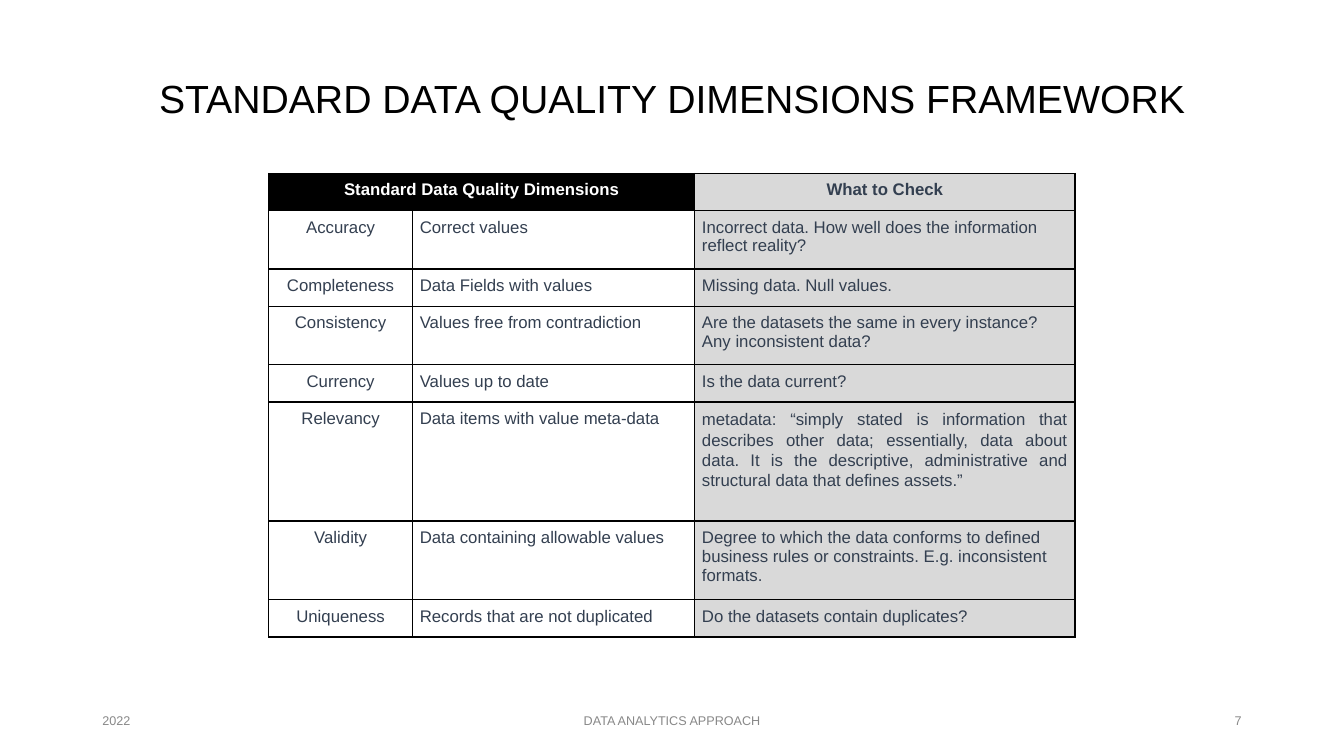
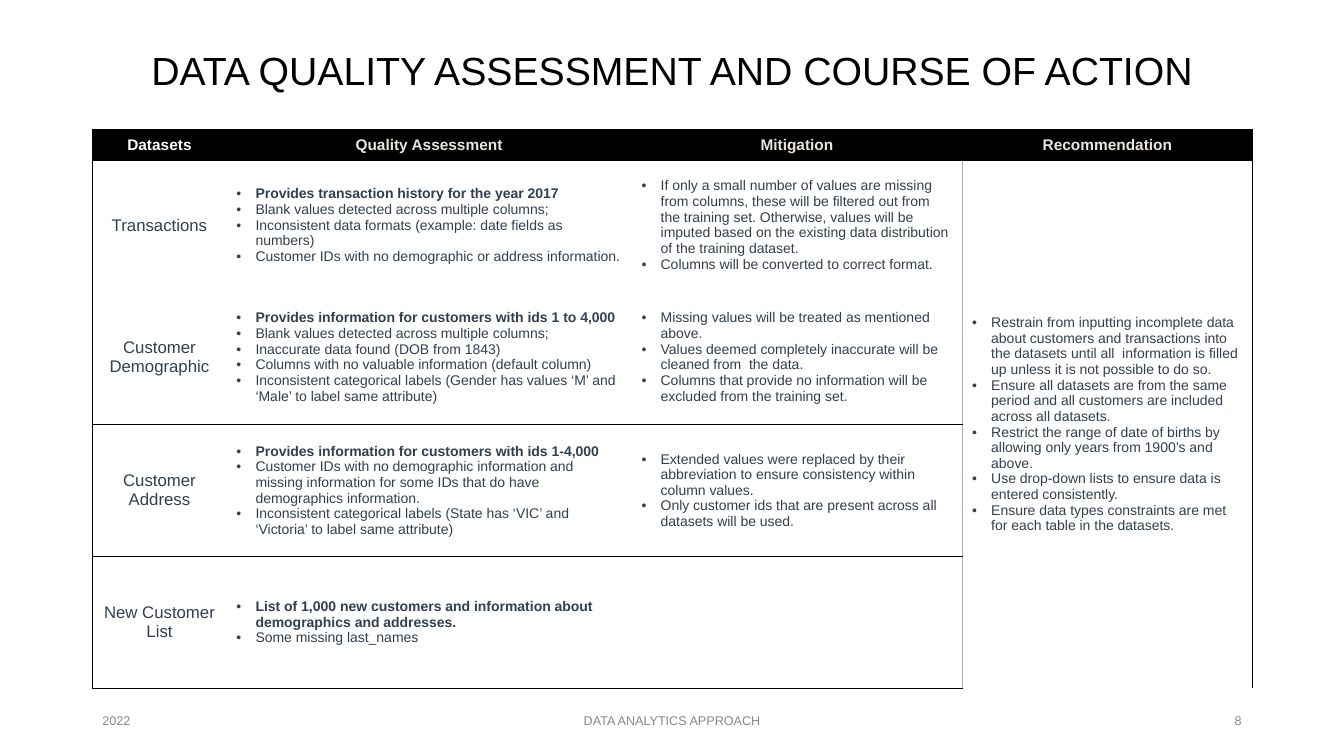
from lxml.etree import SubElement
from pptx import Presentation
from pptx.dml.color import RGBColor
from pptx.enum.text import MSO_ANCHOR, PP_ALIGN
from pptx.oxml import parse_xml
from pptx.oxml.ns import nsdecls, qn
from pptx.util import Cm, Pt

BLACK = "000000"
WHITE = "FFFFFF"
CREAM = "E9E6DF"
SLATE = "333F50"
SILVER = "D9D9D9"
RULE_GREY = "AEABAB"
FOOTER_GREY = "888888"
PLAIN_TABLE = "{2D5ABB26-0587-4C30-8999-92F81FD0307C}"


def rgb(value):
    return RGBColor.from_string(value)


class Builder:
    font = "Arial"
    width, height = 33.87, 19.05
    margin, content_width = 2.33, 29.21

    def __init__(self):
        self.deck = Presentation()
        self.deck.slide_width = Cm(self.width)
        self.deck.slide_height = Cm(self.height)
        self.page = None

    def add_page(self, title, title_top, number):
        self.page = self.deck.slides.add_slide(self.deck.slide_layouts[5])
        self.title(title, title_top)
        side, middle = 7.62, 11.43
        right = self.width - self.margin - side
        self.footer("2022", self.margin, side, PP_ALIGN.LEFT)
        self.footer("DATA ANALYTICS APPROACH", (self.width - middle) / 2, middle, PP_ALIGN.CENTER)
        self.footer(str(number), right, side, PP_ALIGN.RIGHT)

    def style(self, para, size, colour, bold=False, align=PP_ALIGN.LEFT):
        para.alignment = align
        para.font.name = self.font
        para.font.size = Pt(size)
        para.font.bold = bold
        para.font.color.rgb = rgb(colour)

    def title(self, text, top):
        box = self.page.shapes.title
        box.left, box.top = Cm(self.margin), Cm(top)
        box.width, box.height = Cm(self.content_width), Cm(3.68)
        frame = box.text_frame
        frame.text = text
        frame.vertical_anchor = MSO_ANCHOR.MIDDLE
        frame.paragraphs[0].line_spacing = 0.9
        self.style(frame.paragraphs[0], 28, BLACK, align=PP_ALIGN.CENTER)

    def footer(self, text, left, width, align):
        box = self.page.shapes.add_textbox(Cm(left), Cm(17.65), Cm(width), Cm(1.02))
        frame = box.text_frame
        frame.word_wrap = True
        frame.vertical_anchor = MSO_ANCHOR.MIDDLE
        frame.text = text
        self.style(frame.paragraphs[0], 9, FOOTER_GREY, align=align)

    def table(self, left, top, widths, heights, insets, anchor):
        frame = self.page.shapes.add_table(
            len(heights), len(widths), Cm(left), Cm(top), Cm(sum(widths)), Cm(sum(heights)))
        table = frame.table
        table.first_row = table.horz_banding = False
        table._tbl.tblPr.find(qn("a:tableStyleId")).text = PLAIN_TABLE
        for column, width in zip(table.columns, widths):
            column.width = Cm(width)
        for row, height in zip(table.rows, heights):
            row.height = Cm(height)
        for cell in table.iter_cells():
            cell.margin_left = cell.margin_right = Cm(insets[0])
            cell.margin_top = cell.margin_bottom = Cm(insets[1])
            cell.vertical_anchor = anchor
            cell.fill.background()
        return table

    def fill(self, cell, colour):
        cell.fill.solid()
        cell.fill.fore_color.rgb = rgb(colour)

    def borders(self, cell, edges):
        properties = cell._tc.get_or_add_tcPr()
        sides = [side for side in "LRTB" if side in edges]
        for position, side in enumerate(sides):
            colour, points = edges[side]
            properties.insert(position, parse_xml(
                f'<a:ln{side} {nsdecls("a")} w="{Pt(points)}"><a:solidFill>'
                f'<a:srgbClr val="{colour}"/></a:solidFill></a:ln{side}>'))

    def label(self, cell, text, size, colour=SLATE, bold=False, align=PP_ALIGN.CENTER):
        cell.text = text
        para = cell.text_frame.paragraphs[0]
        self.style(para, size, colour, bold, align)
        return para

    def bullets(self, cell, items, bold_first=False):
        frame = cell.text_frame
        for index, item in enumerate(items):
            para = frame.add_paragraph() if index else frame.paragraphs[0]
            para.text = item
            properties = para._p.get_or_add_pPr()
            properties.set("marL", str(Cm(0.48)))
            properties.set("indent", str(-Cm(0.48)))
            tint = SubElement(properties, qn("a:buClr"))
            SubElement(tint, qn("a:srgbClr"), val=SLATE)
            SubElement(properties, qn("a:buFont"), typeface=self.font)
            SubElement(properties, qn("a:buChar"), char="•")
            self.style(para, 10, SLATE, bold_first and index == 0)


DIMENSIONS = [
    ("Accuracy", "Correct values",
     "Incorrect data. How well does the information reflect reality?"),
    ("Completeness", "Data Fields with values", "Missing data. Null values."),
    ("Consistency", "Values free from contradiction",
     "Are the datasets the same in every instance? Any inconsistent data?"),
    ("Currency", "Values up to date", "Is the data current?"),
    ("Relevancy", "Data items with value meta-data",
     "metadata: “simply stated is information that describes other data; essentially, "
     "data about data. It is the descriptive, administrative and structural data that "
     "defines assets.”"),
    ("Validity", "Data containing allowable values",
     "Degree to which the data conforms to defined business rules or constraints. "
     "E.g. inconsistent formats."),
    ("Uniqueness", "Records that are not duplicated", "Do the datasets contain duplicates?"),
]

HEADINGS = ["Datasets", "Quality Assessment", "Mitigation", "Recommendation"]

DATASETS = [
    ("Transactions",
     ["Provides transaction history for the year 2017",
      "Blank values detected across multiple columns;",
      "Inconsistent data formats (example: date fields as numbers)",
      "Customer IDs with no demographic or address information."],
     ["If only a small number of values are missing from columns, these will be filtered "
      "out from the training set. Otherwise, values will be imputed based on the existing "
      "data distribution of the training dataset.",
      "Columns will be converted to correct format."]),
    ("Customer Demographic",
     ["Provides information for customers with ids 1 to 4,000",
      "Blank values detected across multiple columns;",
      "Inaccurate data found (DOB from 1843)",
      "Columns with no valuable information (default column)",
      "Inconsistent categorical labels (Gender has values ‘M’ and ‘Male’ to label same "
      "attribute)"],
     ["Missing values will be treated as mentioned above.",
      "Values deemed completely inaccurate will be cleaned from  the data.",
      "Columns that provide no information will be excluded from the training set."]),
    ("Customer Address",
     ["Provides information for customers with ids 1-4,000",
      "Customer IDs with no demographic information and missing information for some IDs "
      "that do have demographics information.",
      "Inconsistent categorical labels (State has ‘VIC’ and ‘Victoria’ to label same "
      "attribute)"],
     ["Extended values were replaced by their abbreviation to ensure consistency within "
      "column values.",
      "Only customer ids that are present across all datasets will be used."]),
    ("New Customer List",
     ["List of 1,000 new customers and information about demographics and addresses.",
      "Some missing last_names"],
     []),
]

RECOMMENDATIONS = [
    "Restrain from inputting incomplete data about customers and transactions into the "
    "datasets until all  information is filled up unless it is not possible to do so.",
    "Ensure all datasets are from the same period and all customers are included across "
    "all datasets.",
    "Restrict the range of date of births by allowing only years from 1900’s and above.",
    "Use drop-down lists to ensure data is entered consistently.",
    "Ensure data types constraints are met for each table in the datasets.",
]


def dimensions_page(builder):
    builder.add_page("STANDARD DATA QUALITY DIMENSIONS FRAMEWORK", 0.69, 7)
    table = builder.table(
        6.77, 4.37, [3.63, 7.11, 9.58], [0.94, 1.47, 0.94, 1.47, 0.94, 3, 1.98, 0.94],
        (0.18, 0.18), MSO_ANCHOR.TOP)
    for column in range(3):
        builder.fill(table.cell(0, column), SILVER if column == 2 else BLACK)
    table.cell(0, 0).merge(table.cell(0, 1))
    builder.label(table.cell(0, 0), "Standard Data Quality Dimensions", 12, WHITE, True)
    builder.label(table.cell(0, 2), "What to Check", 12, bold=True)
    for row, (name, meaning, check) in enumerate(DIMENSIONS, 1):
        builder.label(table.cell(row, 0), name, 12)
        builder.label(table.cell(row, 1), meaning, 12, align=PP_ALIGN.LEFT)
        para = builder.label(table.cell(row, 2), check, 12, align=PP_ALIGN.LEFT)
        builder.fill(table.cell(row, 2), SILVER)
        if name == "Relevancy":
            para.alignment = PP_ALIGN.JUSTIFY
            para.line_spacing = 1.08
            para.space_after = Pt(8)
    for cell in table.iter_cells():
        builder.borders(cell, dict.fromkeys("LRTB", (BLACK, 1)))


def assessment_edges(row, column):
    thin, divider = (BLACK, 0.75), (RULE_GREY, 1)
    edges = {}
    if column == 0:
        edges["L"] = thin
    if column == 3:
        edges["R"] = thin
    if row == 0:
        edges["T"] = thin
    if row == 4:
        edges["B"] = thin
    if row > 0 and column == 2:
        edges["R"] = divider
    if row > 0 and column == 3:
        edges["L"] = divider
    if row == 2 and column < 3:
        edges["B"] = thin
    if row == 3 and column < 3:
        edges["T"] = thin
    return edges


def assessment_page(builder):
    builder.add_page("DATA QUALITY ASSESSMENT AND COURSE OF ACTION", 0, 8)
    table = builder.table(
        builder.margin, 3.25, [3.38, 10.21, 8.33, 7.32], [0.8, 3.25, 3.4, 3.32, 3.32],
        (0.25, 0.13), MSO_ANCHOR.MIDDLE)
    table.cell(1, 3).merge(table.cell(4, 3))
    for column, heading in enumerate(HEADINGS):
        cell = table.cell(0, column)
        builder.fill(cell, BLACK)
        builder.label(cell, heading, 11, CREAM if column else WHITE, True)
    for row, (name, assessment, mitigation) in enumerate(DATASETS, 1):
        builder.label(table.cell(row, 0), name, 12)
        builder.bullets(table.cell(row, 1), assessment, bold_first=True)
        builder.bullets(table.cell(row, 2), mitigation)
    builder.bullets(table.cell(1, 3), RECOMMENDATIONS)
    for row in range(5):
        for column in range(4):
            builder.borders(table.cell(row, column), assessment_edges(row, column))


def main():
    builder = Builder()
    dimensions_page(builder)
    assessment_page(builder)
    builder.deck.save("out.pptx")


if __name__ == "__main__":
    main()
